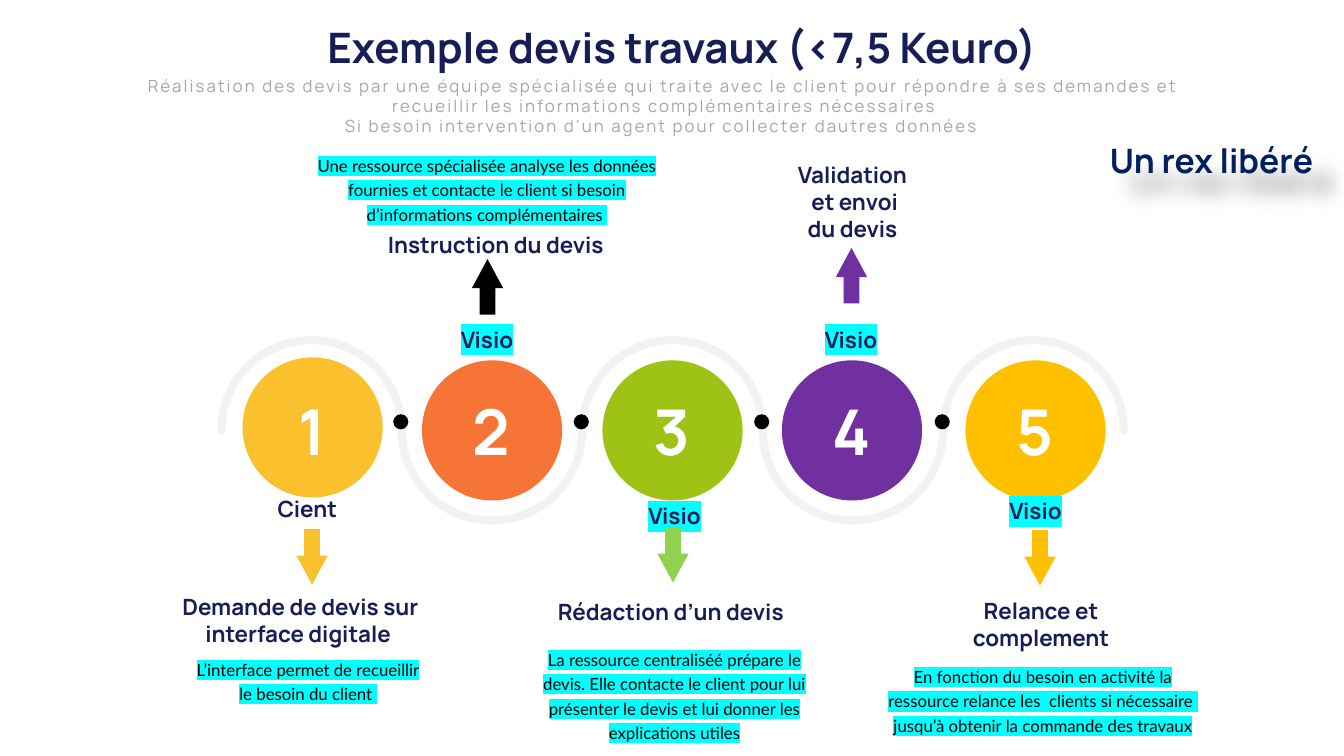
from math import cos, pi, sin

from lxml.etree import SubElement
from pptx import Presentation
from pptx.dml.color import RGBColor
from pptx.enum.shapes import MSO_SHAPE as Shape
from pptx.enum.text import MSO_ANCHOR as Anchor, MSO_AUTO_SIZE as AutoSize, PP_ALIGN as Align
from pptx.oxml.ns import qn
from pptx.util import Inches, Pt

NAVY = RGBColor(0x17, 0x1D, 0x56)
DEEP_BLUE = RGBColor(0x00, 0x20, 0x60)
GREY = RGBColor(0xA6, 0xA6, 0xA6)
PALE_GREY = RGBColor(0xF2, 0xF2, 0xF2)
BLACK = RGBColor(0, 0, 0)
WHITE = RGBColor(0xFF, 0xFF, 0xFF)
AMBER = RGBColor(0xFA, 0xC0, 0x2E)
ORANGE = RGBColor(0xF6, 0x75, 0x36)
GREEN = RGBColor(0x9F, 0xC3, 0x15)
LIGHT_GREEN = RGBColor(0x92, 0xD0, 0x50)
PURPLE = RGBColor(0x70, 0x30, 0xA0)
GOLD = RGBColor(0xFF, 0xC0, 0x00)
CYAN = RGBColor(0x00, 0xFF, 0xFF)

# Content: boxes are (left, top, width, height) in inches
TITLE = ["Exemple devis travaux (<7,5 Keuro)"]
SUBTITLE = [
    "Réalisation des devis par une équipe spécialisée qui traite avec le client pour répondre "
    "à ses demandes et recueillir les informations complémentaires nécessaires",
    "Si besoin intervention d’un agent pour collecter dautres données ",
]
BADGE = ["Un rex libéré"]

# Circle centre, circle colour, arrow (left, top, colour, points up), channel and its place
STEPS = [
    ((3.1, 4.24), AMBER, (2.94, 5.25, AMBER, False), "Cient ", (2.08, 4.86)),
    ((4.88, 4.27), ORANGE, (4.68, 2.57, BLACK, True), "Visio", (3.84, 3.18)),
    ((6.67, 4.27), GREEN, (6.52, 5.23, LIGHT_GREEN, False), "Visio", (5.7, 4.93)),
    ((8.45, 4.27), PURPLE, (8.29, 2.46, PURPLE, True), "Visio", (7.45, 3.18)),
    ((10.27, 4.27), GOLD, (10.16, 5.26, GOLD, False), "Visio", (9.28, 4.88)),
]
HEADINGS = [
    (["Demande de devis sur interface digitale "], (1.5, 5.83, 2.96, 0.64), True, Anchor.BOTTOM),
    (["Instruction du devis "], (3.67, 2.24, 2.54, 0.37), False, Anchor.BOTTOM),
    (["Rédaction d’un devis "], (5.34, 5.88, 2.67, 0.37), False, Anchor.BOTTOM),
    (["Validation", " et envoi", "du devis"], (7.75, 1.55, 1.41, 0.91), False, Anchor.TOP),
    (["Relance et complement"], (9.34, 5.87, 1.97, 0.64), True, Anchor.BOTTOM),
]
DETAILS = [
    ("L’interface permet de recueillir le besoin du client ", (1.88, 6.47, 2.35, 0.53)),
    ("Une ressource spécialisée analyse les données fournies et contacte le client si besoin "
     "d’informations complémentaires ", (3.04, 1.47, 3.58, 0.78)),
    ("La ressource centraliséé prépare le devis. Elle contacte le client pour lui présenter "
     "le devis et lui donner les explications utiles", (5.3, 6.37, 2.78, 1.03)),
    ("En fonction du besoin en activité la ressource relance les  clients si nécessaire  "
     "jusqu’à obtenir la commande des travaux", (8.71, 6.54, 3.27, 0.78)),
]

CIRCLE, DOT, PITCH = 1.39, 0.15, 1.79
ARROW_W, ARROW_H = 0.31, 0.55
WAVE_LEFT, WAVE_Y, WAVE_HALF = 3.09, 4.27, 0.04
ARC_STEPS, CAP_STEPS = 40, 8

prs = Presentation()
prs.slide_width, prs.slide_height = Inches(13.33), Inches(7.5)
slide = prs.slides.add_slide(prs.slide_layouts[6])


def paint(shape, colour):
    shape.shadow.inherit = False
    shape.fill.solid()
    shape.fill.fore_color.rgb = colour
    shape.line.fill.background()


def add_mark(kind, left, top, width, height, colour):
    mark = slide.shapes.add_shape(kind, *map(Inches, (left, top, width, height)))
    paint(mark, colour)
    return mark


def add_text(lines, box, size, colour=NAVY, font="Manrope", bold=True, wrap=True,
             anchor=Anchor.BOTTOM, highlight=None, spacing=None):
    text_box = slide.shapes.add_textbox(*map(Inches, box))
    frame = text_box.text_frame
    frame.word_wrap = wrap
    frame.auto_size = AutoSize.SHAPE_TO_FIT_TEXT
    frame.vertical_anchor = anchor
    frame.text = "\n".join(lines)
    for paragraph in frame.paragraphs:
        paragraph.alignment = Align.CENTER
        for run in paragraph.runs:
            run.font.size = Pt(size)
            run.font.bold = bold
            run.font.color.rgb = colour
            props = run.font._element
            if highlight:
                marker = SubElement(props, qn("a:highlight"))
                SubElement(marker, qn("a:srgbClr"), val=str(highlight))
            if spacing:
                props.set("spc", str(spacing))
            run.font.name = font
    return text_box


def wave_edge(offset):
    """One side of the ribbon: arcs that swing up and down in turn."""
    points = []
    for index in range(len(STEPS)):
        side = 1 if index % 2 == 0 else -1
        radius = PITCH / 2 + side * offset
        for step in range(ARC_STEPS + 1):
            angle = pi * step / ARC_STEPS
            points.append((WAVE_LEFT + PITCH * index - radius * cos(angle),
                           WAVE_Y - side * radius * sin(angle)))
    return points


def wave_cap(x):
    """Rounded end of the ribbon, from right to left."""
    angles = [pi * step / CAP_STEPS for step in range(1, CAP_STEPS)]
    return [(x + WAVE_HALF * cos(a), WAVE_Y + WAVE_HALF * sin(a)) for a in angles]


# Title and subtitle
add_text(TITLE, (2.85, 0.16, 7.83, 0.61), 30, wrap=False, anchor=Anchor.TOP)
add_text(SUBTITLE, (1.19, 0.7, 10.79, 0.71), 12, GREY, bold=False, anchor=Anchor.TOP, spacing=150)

# Wave behind the circles
wave_start = WAVE_LEFT - PITCH / 2
wave_end = wave_start + PITCH * len(STEPS)
outline = [(Inches(x), Inches(y)) for x, y in
           wave_edge(WAVE_HALF) + wave_cap(wave_end)
           + wave_edge(-WAVE_HALF)[::-1] + wave_cap(wave_start)]
builder = slide.shapes.build_freeform(*outline[0])
builder.add_line_segments(outline[1:], close=True)
paint(builder.convert_to_shape(), PALE_GREY)

# Circles with their numbers
for number, ((x, y), colour, *_) in enumerate(STEPS, 1):
    add_mark(Shape.OVAL, x - CIRCLE / 2, y - CIRCLE / 2, CIRCLE, CIRCLE, colour)
    add_text([str(number)], (x - 0.31, 3.84, 0.61, 0.86), 45, WHITE, wrap=False,
             anchor=Anchor.MIDDLE)

# Dots between the circles
for index in range(len(STEPS) - 1):
    add_mark(Shape.OVAL, 3.9 + PITCH * index, 4.11, DOT, DOT, BLACK)

# Headings and details
for lines, box, wrap, anchor in HEADINGS:
    add_text(lines, box, 16, wrap=wrap, anchor=anchor)
for detail, box in DETAILS:
    frame = add_text([detail], box, 12, BLACK, "Lato", False, anchor=Anchor.TOP,
                     highlight=CYAN).text_frame
    frame.margin_left = frame.margin_right = Inches(0.05)
    frame.margin_top = frame.margin_bottom = Inches(0.03)
    frame.paragraphs[0].line_spacing = Pt(17.5)
    frame.paragraphs[0].space_before = Pt(2.4)

# Channels and arrows
for _, _, (left, top, colour, points_up), channel, place in STEPS:
    add_text([channel], (*place, 1.98, 0.37), 16,
             highlight=CYAN if channel == "Visio" else None)
    arrow = add_mark(Shape.DOWN_ARROW, left, top, ARROW_W, ARROW_H, colour)
    arrow.adjustments[0], arrow.adjustments[1] = 0.5, 0.93
    arrow.rotation = 180 if points_up else 0

# Badge with a soft shadow
badge = add_text(BADGE, (10.84, 1.34, 2.35, 0.5), 24, DEEP_BLUE)
effects = SubElement(badge._element.spPr, qn("a:effectLst"))
shadow = SubElement(effects, qn("a:outerShdw"), blurRad=str(Inches(0.2)),
                    dist=str(Inches(0.28)), dir="2700000", algn="tl", rotWithShape="0")
shade = SubElement(shadow, qn("a:srgbClr"), val=str(BLACK))
SubElement(shade, qn("a:alpha"), val="40000")

prs.save("out.pptx")
